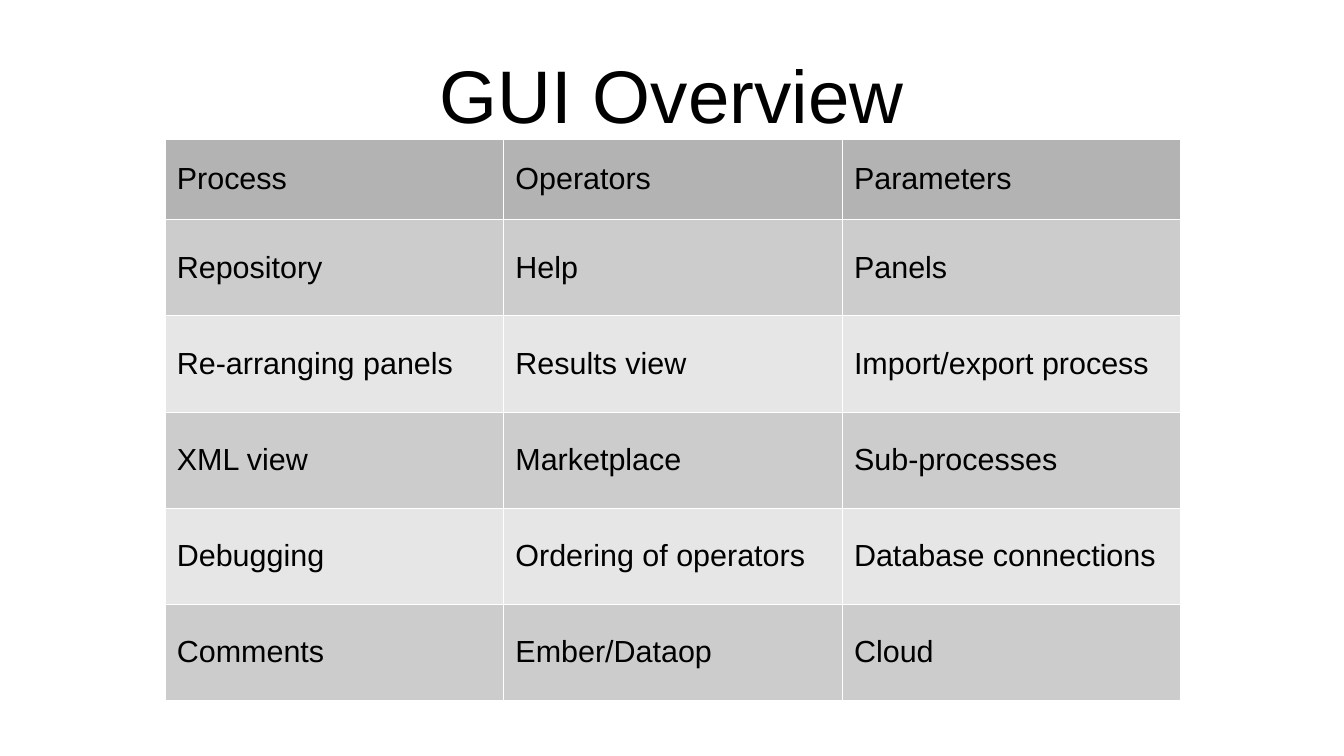
from dataclasses import dataclass

from lxml import etree
from pptx import Presentation
from pptx.dml.color import RGBColor
from pptx.enum.text import MSO_ANCHOR, PP_ALIGN
from pptx.oxml.ns import qn
from pptx.util import Inches, Pt

MIDDLE = MSO_ANCHOR.MIDDLE
LEFT, CENTER = PP_ALIGN.LEFT, PP_ALIGN.CENTER
TITLE_ONLY_LAYOUT = 5


@dataclass(frozen=True)
class Theme:
    font: str = "Arial"
    title_size: float = 44
    table_size: float = 18
    text: str = "000000"
    header_fill: str = "B3B3B3"
    band_fills: tuple = ("CCCCCC", "E6E6E6")
    border: str = "FFFFFF"
    border_width: float = 0.06


THEME = Theme()

TOPICS = [
    ["Process", "Operators", "Parameters"],
    ["Repository", "Help", "Panels"],
    ["Re-arranging panels", "Results view", "Import/export process"],
    ["XML view", "Marketplace", "Sub-processes"],
    ["Debugging", "Ordering of operators", "Database connections"],
    ["Comments", "Ember/Dataop", "Cloud"],
]


def write_text(frame, text, *, size, align=LEFT):
    paragraph = frame.paragraphs[0]
    paragraph.alignment = align
    run = paragraph.add_run()
    run.text = text
    run.font.name = THEME.font
    run.font.size = Pt(size)
    run.font.bold = False
    run.font.color.rgb = RGBColor.from_string(THEME.text)


def set_borders(cell):
    """Draw a thin line on all four sides, ahead of the fill in the XML."""
    properties = cell._tc.get_or_add_tcPr()
    for index, side in enumerate(("a:lnL", "a:lnR", "a:lnT", "a:lnB")):
        line = etree.Element(qn(side), w=str(Pt(THEME.border_width)))
        fill = etree.SubElement(line, qn("a:solidFill"))
        etree.SubElement(fill, qn("a:srgbClr"), val=THEME.border)
        properties.insert(index, line)


def add_title(slide, text, left, top, width, height):
    title = slide.shapes.title
    title.left, title.top = Inches(left), Inches(top)
    title.width, title.height = Inches(width), Inches(height)
    frame = title.text_frame
    frame.word_wrap = True
    frame.vertical_anchor = MIDDLE
    frame.margin_left = frame.margin_right = 0
    frame.margin_top = frame.margin_bottom = 0
    write_text(frame, text, size=THEME.title_size, align=CENTER)


def add_topic_table(slide, topics, left, top, width, height, header_height):
    row_count, column_count = len(topics), len(topics[0])
    table = slide.shapes.add_table(
        row_count, column_count,
        Inches(left), Inches(top), Inches(width), Inches(height),
    ).table
    table.first_row = table.horz_banding = False

    # Equal columns; body rows share the height below the header
    for column in table.columns:
        column.width = Inches(width / column_count)
    body_height = (height - header_height) / (row_count - 1)

    for row_index, labels in enumerate(topics):
        is_header = row_index == 0
        table.rows[row_index].height = Inches(header_height if is_header else body_height)
        band_fill = THEME.band_fills[(row_index - 1) % len(THEME.band_fills)]
        color = THEME.header_fill if is_header else band_fill
        for column_index, label in enumerate(labels):
            cell = table.cell(row_index, column_index)
            cell.vertical_anchor = MIDDLE
            cell.margin_left = cell.margin_right = Inches(0.1)
            cell.margin_top = cell.margin_bottom = Inches(0.05)
            cell.fill.solid()
            cell.fill.fore_color.rgb = RGBColor.from_string(color)
            set_borders(cell)
            write_text(cell.text_frame, label, size=THEME.table_size)


def main():
    presentation = Presentation()
    presentation.slide_width = Inches(11.02)
    presentation.slide_height = Inches(6.2)
    slide = presentation.slides.add_slide(presentation.slide_layouts[TITLE_ONLY_LAYOUT])

    # Heading
    add_title(slide, "GUI Overview", 0.55, 0.25, 9.92, 1.04)
    # Topic grid
    add_topic_table(slide, TOPICS, 1.35, 1.14, 8.33, 4.6, header_height=0.66)

    presentation.save("out.pptx")


if __name__ == "__main__":
    main()
